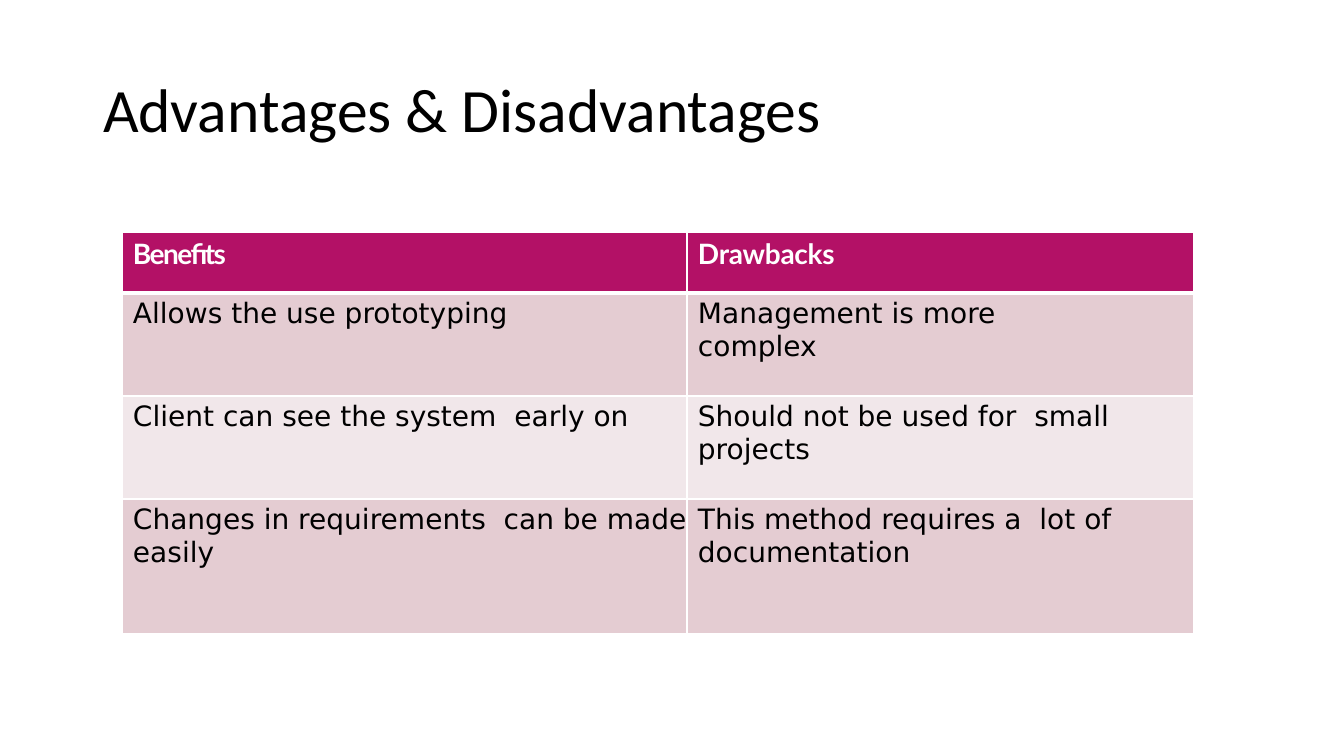
from dataclasses import dataclass

from lxml.etree import SubElement
from pptx import Presentation
from pptx.dml.color import RGBColor
from pptx.enum.text import MSO_ANCHOR, MSO_AUTO_SIZE, PP_ALIGN
from pptx.oxml.ns import qn
from pptx.slide import Slide
from pptx.table import _Cell
from pptx.util import Emu, Pt

WHITE = RGBColor(0xFF, 0xFF, 0xFF)
BLACK = RGBColor(0x00, 0x00, 0x00)
MAGENTA = RGBColor(0xB3, 0x11, 0x66)
ROSE = RGBColor(0xE4, 0xCC, 0xD2)
PALE_ROSE = RGBColor(0xF1, 0xE7, 0xEA)

COL_WIDTHS = (565, 507)
ROW_HEIGHTS = (61, 103, 103, 135)


@dataclass(frozen=True)
class Style:
    font: str
    color: RGBColor
    bold: bool
    space_before: float


@dataclass(frozen=True)
class Entry:
    """Cell wording, one paragraph a line, with letter spacing in points."""
    lines: tuple[str, ...]
    spacing: float = 0


HEADER = Style("Lato", WHITE, True, 3.6)
BODY = Style("DejaVu Sans", BLACK, False, 3.5)

ROWS = (
    (Entry(("Benefits",), -1.1), Entry(("Drawbacks",), -0.2)),
    (Entry(("Allows the use prototyping",)),
     Entry(("Management is more", "complex"))),
    (Entry(("Client can see the system  early on",)),
     Entry(("Should not be used for  small projects",))),
    (Entry(("Changes in requirements  can be made easily",)),
     Entry(("This method requires a  lot of documentation",))),
)


def px(n: int) -> Emu:
    return Emu(round(n * 914400 / 100.8))


def add_title(s: Slide, text: str) -> None:
    title = s.shapes.title
    title.left, title.top, title.width, title.height = map(px, (93, 40, 1159, 146))
    tf = title.text_frame
    tf.word_wrap = True
    tf.auto_size = MSO_AUTO_SIZE.NONE
    tf.vertical_anchor = MSO_ANCHOR.MIDDLE
    p = tf.paragraphs[0]
    p.alignment = PP_ALIGN.LEFT
    p.line_spacing = 0.9
    r = p.add_run()
    r.text = text
    r.font.name = "Calibri"
    r.font.size = Pt(44)
    r.font.color.rgb = BLACK


def set_borders(cell: _Cell, top: int, bottom: int) -> None:
    """Draw white borders; top and bottom widths are in points."""
    tc_pr = cell._tc.get_or_add_tcPr()
    for side, width in (("L", 1), ("R", 1), ("T", top), ("B", bottom)):
        ln = SubElement(tc_pr, qn(f"a:ln{side}"), w=str(Pt(width)))
        fill = SubElement(ln, qn("a:solidFill"))
        SubElement(fill, qn("a:srgbClr"), val=str(WHITE))


def write_entry(cell: _Cell, entry: Entry, style: Style) -> None:
    cell.margin_left, cell.margin_top = px(11), px(5)
    cell.margin_right = cell.margin_bottom = 0
    tf = cell.text_frame
    for i, line in enumerate(entry.lines):
        p = tf.add_paragraph() if i else tf.paragraphs[0]
        p.space_before = Pt(0 if i else style.space_before)
        r = p.add_run()
        r.text = line
        r.font.name = style.font
        r.font.size = Pt(20)
        r.font.bold = style.bold
        r.font.color.rgb = style.color
        if entry.spacing:
            r.font._rPr.set("spc", str(round(entry.spacing * 100)))


def add_comparison(s: Slide) -> None:
    table = s.shapes.add_table(
        len(ROWS), len(COL_WIDTHS), px(122), px(232),
        px(sum(COL_WIDTHS)), px(sum(ROW_HEIGHTS))).table
    table.horz_banding = False
    for column, width in zip(table.columns, COL_WIDTHS):
        column.width = px(width)
    for i, entries in enumerate(ROWS):
        table.rows[i].height = px(ROW_HEIGHTS[i])
        fill = MAGENTA if i == 0 else ROSE if i % 2 else PALE_ROSE
        for j, entry in enumerate(entries):
            cell = table.cell(i, j)
            set_borders(cell, top=3 if i == 1 else 1, bottom=3 if i == 0 else 1)
            cell.fill.solid()
            cell.fill.fore_color.rgb = fill
            write_entry(cell, entry, BODY if i else HEADER)


def main() -> None:
    prs = Presentation()
    prs.slide_width, prs.slide_height = px(1344), px(756)
    s = prs.slides.add_slide(prs.slide_layouts[5])
    add_title(s, "Advantages & Disadvantages")
    add_comparison(s)
    prs.save("out.pptx")


if __name__ == "__main__":
    main()
